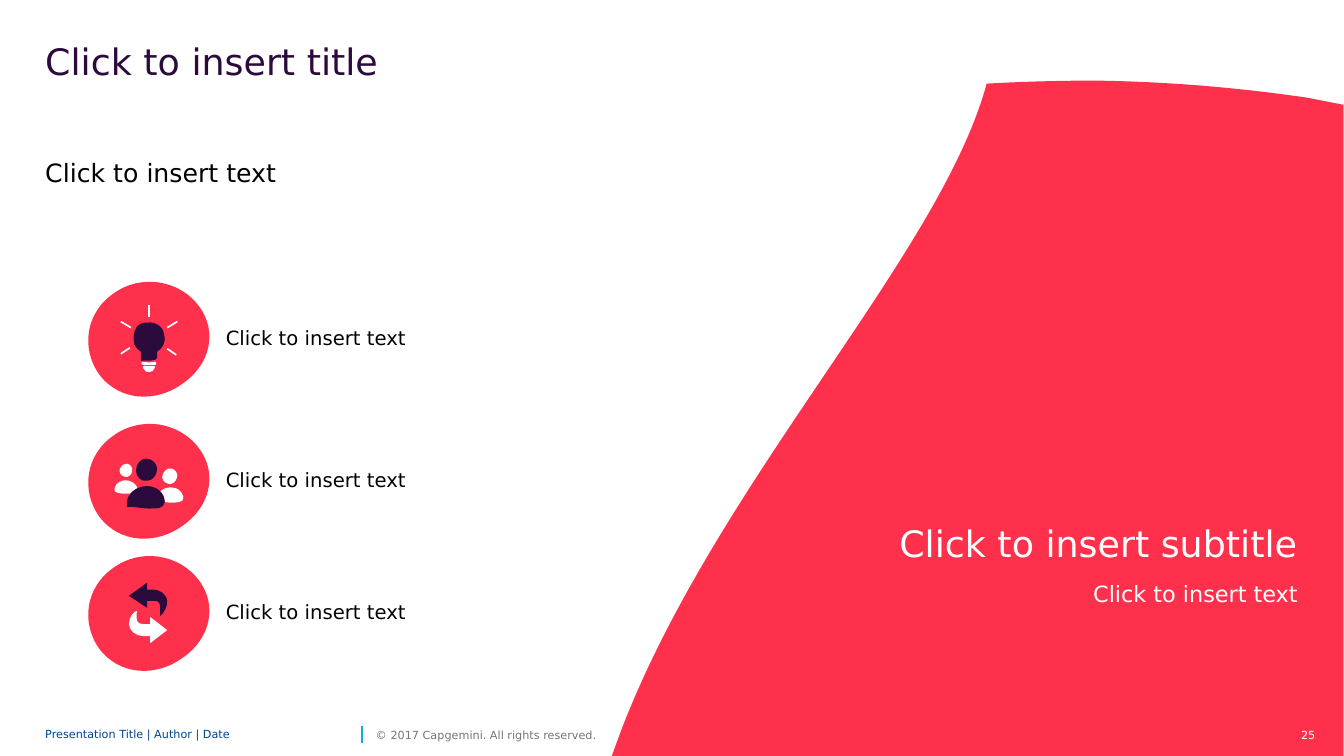
from pptx import Presentation
from pptx.dml.color import RGBColor
from pptx.enum.shapes import MSO_CONNECTOR as Connector
from pptx.enum.text import MSO_ANCHOR as Anchor, MSO_AUTO_SIZE as AutoSize, PP_ALIGN as Align
from pptx.oxml.ns import qn
from pptx.util import Cm, Pt

COLORS = {
    "red": "FF304C", "plum": "2B0A3D", "white": "FFFFFF", "black": "000000",
    "navy": "00458D", "sky": "12ABDB", "gray": "767676",
}
FONT = "DejaVu Sans"
GRID = Cm(2.54) / 100  # one drawing unit of the outlines below

# Outlines: start point, then "|"-separated segments (1 point = line, 3 = Bézier curve)
WAVE = ("1087,80 | 1158,81 1229,87 1297,97 | 1333,104 | 1333,750 | 607,750 | 617,723 |"
        "712,477 933,253 979,83 | 1015,81 1051,80 1087,80")
BADGE = ("19,100 | 0,74 5,38 33,19 | 59,0 97,5 117,31 | 137,57 128,90 102,108 |"
         "75,128 39,126 19,100")
BULB = [
    ("plum", "83,60 | 82,52 75,47 66,48 | 62,48 59,49 56,52 | 53,57 52,61 53,67 |"
             "53,71 56,74 60,77 | 60,86 | 64,85 68,87 73,85 | 74,85 75,85 76,83 |"
             "76,77 | 82,73 85,67 83,60"),
    ("white", "75,89 | 75,88 75,87 74,87 | 67,88 64,87 61,87 | 60,88 60,90 62,90 |"
              "73,90 | 74,90 75,90 75,89"),
    ("white", "73,94 | 73,95 71,97 69,97 | 66,97 | 65,97 63,95 63,94 | 62,94 61,92 62,92 |"
              "63,91 | 73,91 | 74,92 | 73,94"),
]
RAYS = ["68,31 68,42", "40,47 50,53", "40,79 49,73", "86,74 95,80", "86,53 96,47"]
PEOPLE = [
    ("white", "90,67 | 94,66 96,62 96,58 | 95,54 92,51 87,52 | 84,53 81,57 81,61 |"
              "82,65 86,68 90,67"),
    ("white", "98,85 | 101,85 102,83 102,80 | 101,74 95,69 85,71 | 80,73 76,76 75,81 |"
              "75,84 | 82,84 87,87 98,85"),
    ("white", "44,60 | 40,59 38,56 39,52 | 40,49 43,47 46,47 | 50,48 52,51 51,55 |"
              "51,58 47,61 44,60"),
    ("white", "37,76 | 35,76 33,74 34,71 | 35,67 40,62 48,64 | 52,65 56,68 57,73 |"
              "57,76 | 51,76 47,78 37,76"),
    ("plum", "66,64 | 72,64 76,58 76,52 | 76,47 71,42 65,42 | 59,42 55,48 55,54 |"
             "55,60 60,65 66,64"),
    ("plum", "46,90 | 46,88 46,86 46,85 | 47,77 53,72 60,70 | 73,67 81,74 83,81 |"
             "85,86 82,90 78,91 | 63,93 54,89 46,90"),
]
CYCLE = [
    ("plum", "66,59 | 48,47 | 66,34 | 66,41 | 73,41 | 78,41 86,45 86,53 |"
             "86,59 82,65 79,67 | 79,58 | 79,56 79,52 73,52 | 66,52"),
    ("white", "69,75 | 62,75 | 56,75 56,71 56,71 | 55,69 56,62 56,62 | 53,62 48,68 48,75 |"
              "48,82 56,87 62,87 | 69,87 | 69,94 | 86,81 | 69,68"),
]


def rgb(color):
    return RGBColor.from_string(COLORS[color])


def points(segment, left=0, top=0):
    """Turn 'x,y x,y' grid points into slide positions."""
    pairs = [pair.split(",") for pair in segment.split()]
    return [(round(left + int(x) * GRID), round(top + int(y) * GRID)) for x, y in pairs]


def bend(shape, segments):
    """Join the three straight steps of each curved segment into one Bézier curve."""
    geometry = shape._element.find(".//" + qn("a:path"))
    steps = iter(geometry.findall(qn("a:lnTo")))
    for segment in segments:
        group = [next(steps) for _ in segment]
        if len(group) == 3:
            curve = geometry.makeelement(qn("a:cubicBezTo"), {})
            group[0].addprevious(curve)
            for step in group:
                curve.append(step[0])
                geometry.remove(step)


class SlideBuilder:
    def __init__(self, slide):
        self.slide = slide
        self.shapes = slide.shapes

    def outline(self, design, color, left=0, top=0):
        (start,), *segments = [points(part, left, top) for part in design.split("|")]
        builder = self.shapes.build_freeform(*start, scale=1.0)
        builder.add_line_segments(sum(segments, []), close=True)
        shape = builder.convert_to_shape()
        bend(shape, segments)
        shape.shadow.inherit = False
        shape.fill.solid()
        shape.fill.fore_color.rgb = rgb(color)
        shape.line.fill.background()
        return shape

    def line(self, start, end, color, width):
        connector = self.shapes.add_connector(Connector.STRAIGHT, *start, *end)
        connector.line.color.rgb = rgb(color)
        connector.line.width = Pt(width)
        properties = connector._element.spPr
        properties.append(properties.makeelement(qn("a:effectLst"), {}))
        return connector

    def icon(self, drawing, left, top, rays=()):
        parts = [self.outline(design, color, left, top)
                 for color, design in [("red", BADGE), *drawing]]
        parts += [self.line(*points(ray, left, top), "white", 1.2) for ray in rays]
        self.shapes.add_group_shape(parts)

    def text(self, words, box, size, color, holder=None, anchor=Anchor.TOP,
             align=Align.LEFT, spacing=1.0, after=0, wrap=True):
        left, top, width, height = (Cm(length) for length in box)
        if holder is None:
            holder = self.shapes.add_textbox(left, top, width, height)
        holder.left, holder.top, holder.width, holder.height = left, top, width, height
        frame = holder.text_frame
        frame.text = words
        frame.auto_size = AutoSize.NONE
        frame.word_wrap = wrap
        frame.vertical_anchor = anchor
        frame.margin_left = frame.margin_right = frame.margin_top = frame.margin_bottom = 0
        paragraph = frame.paragraphs[0]
        paragraph.alignment = align
        paragraph.line_spacing = spacing
        paragraph.space_before, paragraph.space_after = Pt(0), Pt(after)
        if holder.is_placeholder:
            settings = paragraph._p.get_or_add_pPr()
            settings.set("marL", "0")
            settings.set("indent", "0")
            settings.append(settings.makeelement(qn("a:buNone"), {}))
        font = paragraph.runs[0].font
        font.name, font.size, font.bold = FONT, Pt(size), False
        font.color.rgb = rgb(color)


def main():
    deck = Presentation()
    deck.slide_width, deck.slide_height = Cm(33.87), Cm(19.05)
    page = SlideBuilder(deck.slides.add_slide(deck.slide_layouts[4]))
    title, lead, *labels = page.slide.placeholders

    # Red wave on the right
    page.outline(WAVE, "red")

    # Title and lead text
    page.text("Click to insert title", (1.14, 1.12, 30.61, 2.39), 26, "plum", title,
              spacing=0.9)
    page.text("Click to insert text", (1.14, 3.94, 17.5, 2.49), 18, "black", lead,
              spacing=Pt(22), after=6)

    # Icon rows
    rows = [(6.91, BULB, RAYS), (10.49, PEOPLE, ()), (13.82, CYCLE, ())]
    for label, (top, drawing, rays) in zip(labels, rows):
        page.icon(drawing, Cm(2.03), Cm(top), rays)
        page.text("Click to insert text", (5.69, top + 0.37, 8.31, 2.49), 14, "black",
                  label, Anchor.MIDDLE, spacing=Pt(16), after=6)

    # Subtitle and caption on the wave
    page.text("Click to insert subtitle", (20.52, 11.51, 12.19, 2.72), 26, "white",
              anchor=Anchor.BOTTOM, align=Align.RIGHT, spacing=Pt(30), after=6)
    page.text("Click to insert text", (20.52, 14.66, 12.19, 2.03), 16, "white",
              align=Align.RIGHT, spacing=Pt(18), after=6)

    # Footer
    page.text("Presentation Title | Author | Date", (1.14, 18.21, 7.85, 0.61), 8, "navy",
              anchor=Anchor.MIDDLE, spacing=0.85)
    page.line((Cm(9.12), Cm(18.72)), (Cm(9.12), Cm(18.29)), "sky", 1)
    page.text("© 2017 Capgemini. All rights reserved.", (9.47, 18.21, 6.17, 0.61), 8, "gray",
              anchor=Anchor.MIDDLE, wrap=False)
    page.text("25", (32.5, 18.21, 0.65, 0.61), 8, "white",
              anchor=Anchor.MIDDLE, align=Align.RIGHT)

    deck.save("out.pptx")


if __name__ == "__main__":
    main()
